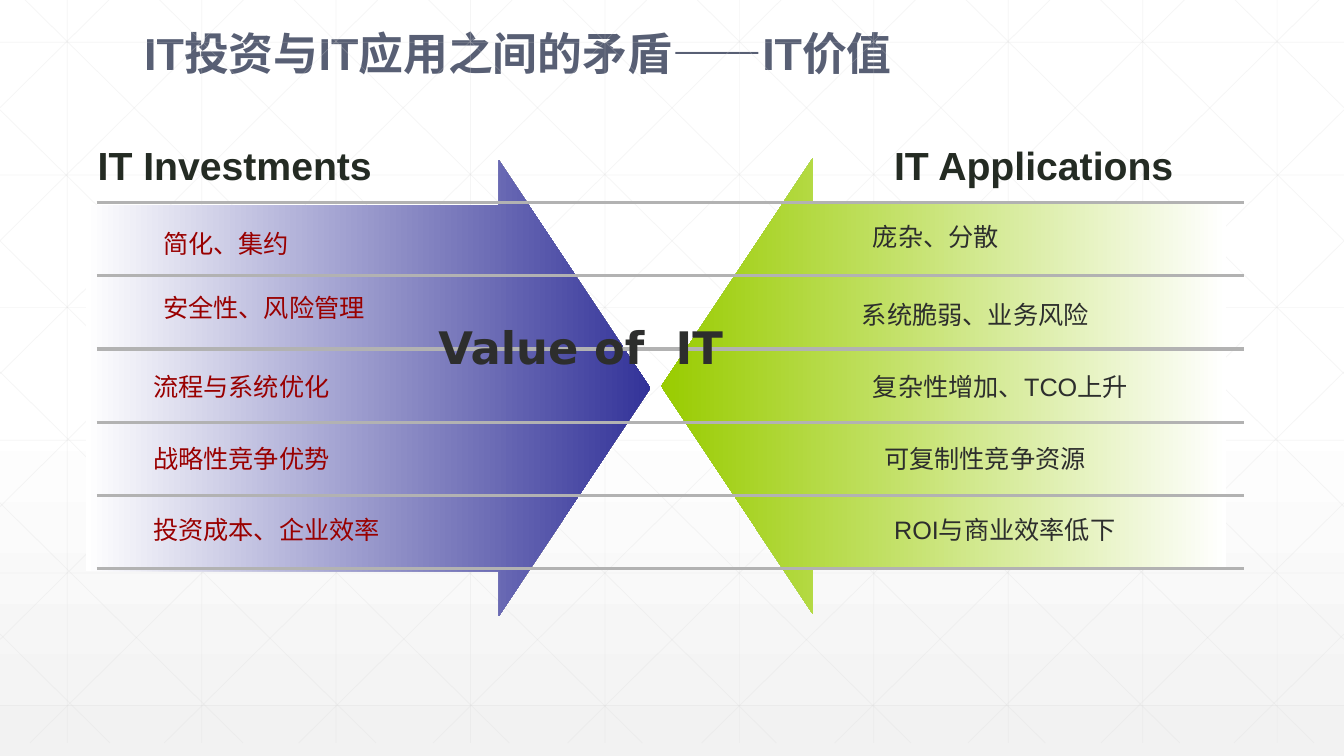
from lxml import etree
from pptx import Presentation
from pptx.dml.color import RGBColor
from pptx.enum.shapes import MSO_CONNECTOR, MSO_SHAPE
from pptx.enum.text import MSO_ANCHOR, MSO_AUTO_SIZE, PP_ALIGN
from pptx.oxml.ns import qn
from pptx.util import Inches, Pt

STRAIGHT = MSO_CONNECTOR.STRAIGHT
ARROW = MSO_SHAPE.RIGHT_ARROW
MIDDLE = MSO_ANCHOR.MIDDLE
GROW, FIXED = MSO_AUTO_SIZE.SHAPE_TO_FIT_TEXT, MSO_AUTO_SIZE.NONE
LEFT = PP_ALIGN.LEFT

COLORS = {
    "white": "FFFFFF", "mist": "F2F2F2", "grid": "D9D9D9", "rule": "B2B2B2",
    "green": "99CC00", "blue": "333399", "red": "990000",
    "text": "2D2E2D", "heading": "242B23", "title": "585F74",
}
RGB = {name: RGBColor.from_string(value) for name, value in COLORS.items()}
W, H = 13.33, 7.5
GRID_H, STEP, RUN = 7.37, 4 / 3, 7.45


def add_line(shapes, x1, y1, x2, y2, color, width):
    line = shapes.add_connector(STRAIGHT, Inches(x1), Inches(y1), Inches(x2), Inches(y2))
    line.line.color.rgb = RGB[color]
    line.line.width = Pt(width)
    etree.SubElement(line._element.spPr, qn("a:effectLst"))
    return line


def add_text(box, text, size, color, name="Arial", bold=False, wrap=True):
    tf = box.text_frame
    tf.word_wrap = wrap
    tf.auto_size = GROW
    p = tf.paragraphs[0]
    p.alignment = LEFT
    style = {"size": Pt(size), "name": name, "bold": bold}
    for part in text.partition(" of ") if " of " in text else [text]:
        r = p.add_run()
        r.text = part
        for key, value in style.items():
            setattr(r.font, key, value)
        r.font.color.rgb = RGB[color]
    return p


prs = Presentation()
prs.slide_width, prs.slide_height = Inches(W), Inches(H)
s = prs.slides.add_slide(prs.slide_layouts[5])

bg = s.background.fill
bg.gradient()
bg.gradient_angle = 270
for stop, color, position in zip(bg.gradient_stops, ("white", "mist"), (0.53, 1)):
    stop.color.rgb = RGB[color]
    stop.position = position

segments = []
for k in range(10):
    x = 2 / 3 + k * STEP
    segments.append((x, 0, x, GRID_H))
for k in range(6):
    y = 0.42 + k * 1.316
    segments.append((0, y, W, y))
for k in range(10):
    x = 0.25 + k * STEP
    run = min(RUN, W - x)
    drop = run * GRID_H / RUN
    segments += [(x, 0, x + run, drop), (W - x, 0, W - x - run, drop)]
for k in range(5):
    y, reach = 1.09 + k * 1.3, 6.37 - k * 1.32
    segments += [(reach, GRID_H, 0, y), (W - reach, GRID_H, W, y)]

grid = s.shapes.add_group_shape()
for segment in segments:
    line = add_line(grid.shapes, *segment, "grid", 0.5)
    srgb = line._element.spPr.find(".//" + qn("a:srgbClr"))
    etree.SubElement(srgb, qn("a:alpha"), val="25000")

for x, y, color, rotation in [(6.56, 1.57, "green", 180), (0.85, 1.59, "blue", 0)]:
    sp = s.shapes.add_shape(ARROW, Inches(x), Inches(y), Inches(5.6), Inches(4.52))
    sp.rotation = rotation
    sp.shadow.inherit = False
    sp.adjustments[0], sp.adjustments[1] = 0.803, 0.332
    sp.line.fill.background()
    sp.fill.gradient()
    sp.fill.gradient_angle = 0
    for stop, name, position in zip(sp.fill.gradient_stops, ("white", color), (0, 1)):
        stop.color.rgb = RGB[name]
        stop.position = position

rules = s.shapes.add_group_shape()
for k in range(6):
    y = 2.01 + k * 0.726
    add_line(rules.shapes, 0.96, y, 12.34, y, "rule", 2.25)

for text, x, width in [("IT Investments", 0.87, 2.95), ("IT Applications", 8.77, 3)]:
    box = s.shapes.add_textbox(Inches(x), Inches(1.35), Inches(width), Inches(0.57))
    add_text(box, text, 28, "heading", bold=True, wrap=False)

items = {
    "red": [
        ("简化、集约", 1.52, 2.25),
        ("安全性、风险管理", 1.52, 2.88),
        ("流程与系统优化", 1.42, 3.67),
        ("战略性竞争优势", 1.42, 4.38),
        ("投资成本、企业效率", 1.42, 5.09),
    ],
    "text": [
        ("庞杂、分散", 8.56, 2.18),
        ("系统脆弱、业务风险", 8.45, 2.95),
        ("复杂性增加、TCO上升", 8.56, 3.67),
        ("可复制性竞争资源", 8.67, 4.38),
        ("ROI与商业效率低下", 8.77, 5.09),
    ],
}
for color, rows in items.items():
    for text, x, y in rows:
        box = s.shapes.add_textbox(Inches(x), Inches(y), Inches(3.6), Inches(0.37))
        add_text(box, text, 18, color).line_spacing = 0.9

box = s.shapes.add_textbox(Inches(4.25), Inches(3.12), Inches(3.13), Inches(0.64))
p = add_text(box, "Value of IT", 32, "text", "DejaVu Sans", True, False)
p.runs[1].text = " of"
gap = p.runs[2]
gap.text = " IT"
space = p.add_run()
space.text = "IT"
for key in ("size", "name", "bold"):
    setattr(space.font, key, getattr(gap.font, key))
space.font.color.rgb = RGB["text"]
gap.text = " "
gap.font._element.set("spc", "1100")

title = s.shapes.title
for key, value in {"left": 1.33, "top": 0.17, "width": 11.34, "height": 0.7}.items():
    setattr(title, key, Inches(value))
add_text(title, "IT投资与IT应用之间的矛盾——IT价值", 32, "title", bold=True)
title.text_frame.auto_size = FIXED
title.text_frame.vertical_anchor = MIDDLE

prs.save("out.pptx")
